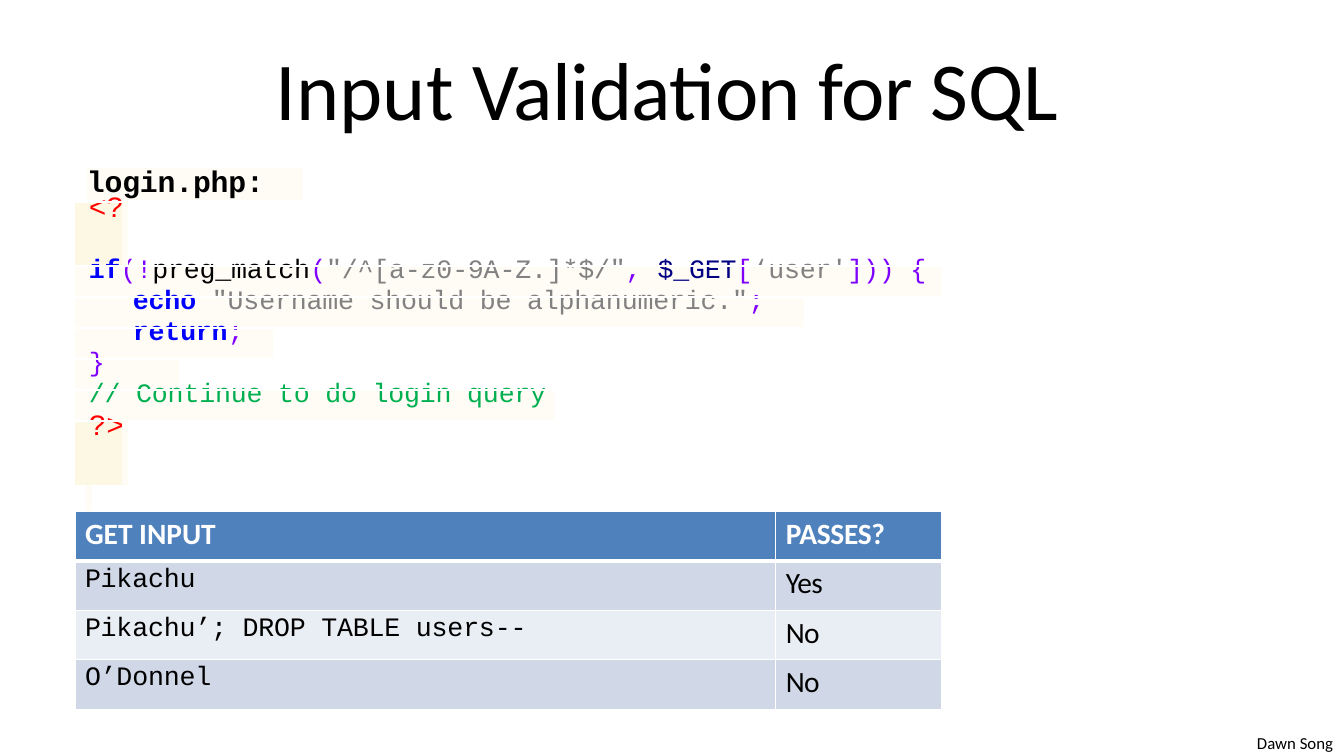
from lxml.etree import SubElement
from pptx import Presentation
from pptx.dml.color import RGBColor
from pptx.enum.shapes import MSO_SHAPE as Shape
from pptx.enum.text import MSO_ANCHOR as Anchor, PP_ALIGN as Align
from pptx.oxml.ns import qn
from pptx.util import Pt

SANS, MONO = "Calibri", "Courier New"
BLACK, WHITE, CREAM, SAND = "000000", "FFFFFF", "FEFCF5", "FDF8E3"
TAG, KEYWORD, MARK, STRING = "FF0000", "0000FF", "8000FF", "818181"
VARIABLE, COMMENT = "000080", "00B050"
HEADER, BAND_DARK, BAND_LIGHT = "4F81BD", "D0D8E8", "E9EDF4"

# Content: runs are (text, colour, bold, spacing in points)
TITLE = [("Input ", BLACK, False, 0), ("Validation ", BLACK, False, -0.4),
         ("for ", BLACK, False, -0.5), ("SQL", BLACK, False, 0)]
FILE_NAME = [("login.php:", BLACK, True, -0.1)]
AUTHOR = [("Dawn Song", BLACK, False, 0)]

# Code lines: (columns covered after the gutter, indent px, tokens)
CODE = [
    (1, 0, [("<?", TAG)]),
    (7, 0, [("if", KEYWORD), ("(!", MARK), ("preg_match", BLACK), ("(", MARK),
            ('"/^[a-z0-9A-Z.]*$/"', STRING), (", ", MARK),
            ("$_GET", VARIABLE), ("[", MARK), ("‘user'", STRING),
            ("])) {", MARK)]),
    (6, 44, [("echo ", KEYWORD),
             ('"Username should be alphanumeric."', STRING), (";", MARK)]),
    (3, 44, [("return", KEYWORD), (";", MARK)]),
    (2, 0, [("}", MARK)]),
    (4, 0, [("// Continue to do login query", COMMENT)]),
    (1, 0, [("?>", TAG)]),
]
RESULTS = [("GET INPUT", "PASSES?"), ("Pikachu", "Yes"),
           ("Pikachu’; DROP TABLE users--", "No"), ("O’Donnel", "No")]

# Layout in px
SCALE = 914400 / 100.8
COLUMNS = [14, 36, 54, 94, 281, 222, 28, 138]
ROWS = [64, 31, 31, 31, 31, 31, 64, 27, 49, 50, 49, 50]
ANSWER_COLUMN = 6
FIRST_RESULT = len(CODE) + 1


def px(length):
    return round(length * SCALE)


def rgb(colour):
    return RGBColor.from_string(colour)


def write(frame, runs, font, size, line=None, before=0, indent=0, top=0):
    """Put one left-aligned paragraph in a frame or cell."""
    frame.margin_left = frame.margin_right = frame.margin_bottom = 0
    frame.margin_top = px(top)
    frame.word_wrap = True
    para = frame.paragraphs[0]
    para.alignment = Align.LEFT
    para.space_before = Pt(before)
    if line:
        para.line_spacing = Pt(line)
    para._p.get_or_add_pPr().set("marL", str(px(indent)))
    for text, colour, bold, spacing in runs:
        span = para.add_run()
        span.text = text
        span.font.name, span.font.size = font, Pt(size)
        span.font.bold = bold
        span.font.color.rgb = rgb(colour)
        span._r.get_or_add_rPr().set("spc", str(round(spacing * 100)))


def write_cell(cell, runs, font, size, **layout):
    top = layout.pop("top", 0)
    write(cell.text_frame, runs, font, size, **layout)
    cell.margin_left = cell.margin_right = cell.margin_bottom = 0
    cell.margin_top = px(top)


def style(cell, fill=None, **edges):
    """Fill a cell and draw its edges, given as (colour, points)."""
    props = cell._tc.get_or_add_tcPr()
    for edge in "LRTB":
        line = SubElement(props, qn("a:ln" + edge))
        if edge in edges:
            colour, width = edges[edge]
            line.set("w", str(Pt(width)))
            solid = SubElement(line, qn("a:solidFill"))
            SubElement(solid, qn("a:srgbClr")).set("val", colour)
        else:
            SubElement(line, qn("a:noFill"))
    if fill:
        cell.fill.solid()
        cell.fill.fore_color.rgb = rgb(fill)
    else:
        cell.fill.background()


def merge(table, row, first, last):
    if last > first:
        table.cell(row, first).merge(table.cell(row, last))
    return table.cell(row, first)


def shrink_blank(cell):
    """Keep an empty cell from stretching its row."""
    cell.margin_left = cell.margin_right = 0
    cell.margin_top = cell.margin_bottom = 0
    end = SubElement(cell.text_frame.paragraphs[0]._p, qn("a:endParaRPr"))
    end.set("sz", "1000")


def add_code(table):
    thin, thick, cream = (WHITE, 1), (WHITE, 1.5), (CREAM, 4.25)
    last_column = len(COLUMNS) - 1
    for row, (width, indent, tokens) in enumerate(CODE):
        is_tag = tokens[0][1] == TAG
        fill = SAND if is_tag else CREAM
        edges = {"T": thick if row in (0, 6) else thin,
                 "B": thick if row == 5 else thin}
        style(table.cell(row, 0), fill, **edges)
        cell = merge(table, row, 1, width)
        right = {"R": cream} if is_tag else {}
        style(cell, fill, **edges, **right)
        runs = [(text, colour, colour == KEYWORD, -0.1)
                for text, colour in tokens]
        write_cell(cell, runs, MONO, 21 if is_tag else 19,
                   line=17.1 if is_tag else 14.9, indent=indent)
        if width < last_column:
            rest = merge(table, row, width + 1, last_column)
            left = {"L": cream} if is_tag else {}
            style(rest, None, **edges, **left)
    # Gap row between code and results
    gap = len(CODE)
    style(table.cell(gap, 0), None, R=cream, B=thin)
    style(merge(table, gap, 1, last_column), None, L=cream, B=thin)


def add_results(table):
    thin, thick = (WHITE, 1), (WHITE, 3)
    for index, (entry, answer) in enumerate(RESULTS):
        row, head = FIRST_RESULT + index, index == 0
        fill = HEADER if head else (BAND_LIGHT, BAND_DARK)[index % 2]
        ink = WHITE if head else BLACK
        edges = {"L": thin, "R": thin, "T": thick if index == 1 else thin,
                 "B": thick if head else thin}
        left = merge(table, row, 0, ANSWER_COLUMN - 1)
        right = merge(table, row, ANSWER_COLUMN, len(COLUMNS) - 1)
        style(left, fill, **edges)
        style(right, fill, **edges)
        sans = dict(font=SANS, size=21, before=2.6, indent=10, top=5)
        mono = dict(font=MONO, size=19, before=1.9, indent=10, top=4)
        write_cell(left, [(entry, ink, head, 0 if head else -0.1)],
                   **(sans if head else mono))
        write_cell(right, [(answer, ink, head, -0.2 if head else -0.5)],
                   **sans)


def main():
    deck = Presentation()
    deck.slide_width, deck.slide_height = px(1344), px(756)
    page = deck.slides.add_slide(deck.slide_layouts[6])

    # Author and title
    box = page.shapes.add_textbox(px(1255), px(735), px(84), px(18))
    write(box.text_frame, AUTHOR, SANS, 12, line=12.7, indent=2)
    box = page.shapes.add_textbox(px(274), px(36), px(794), px(102))
    write(box.text_frame, TITLE, SANS, 58.7, before=1.4, indent=2, top=2)

    # File name label
    label = page.shapes.add_shape(Shape.RECTANGLE, px(87), px(168),
                                  px(216), px(32))
    label.shadow.inherit = False
    label.fill.solid()
    label.fill.fore_color.rgb = rgb(CREAM)
    label.line.fill.background()
    label.text_frame.vertical_anchor = Anchor.TOP
    write(label.text_frame, FILE_NAME, MONO, 21.3, line=22)

    # Code and results share one table
    table = page.shapes.add_table(len(ROWS), len(COLUMNS), px(75), px(202),
                                  px(sum(COLUMNS)), px(sum(ROWS))).table
    table.first_row = table.horz_banding = False
    for column, width in zip(table.columns, COLUMNS):
        column.width = px(width)
    for row, height in zip(table.rows, ROWS):
        row.height = px(height)
    add_code(table)
    add_results(table)
    for cell in table.iter_cells():
        if not cell.text_frame.text:
            shrink_blank(cell)

    deck.save("out.pptx")


if __name__ == "__main__":
    main()
